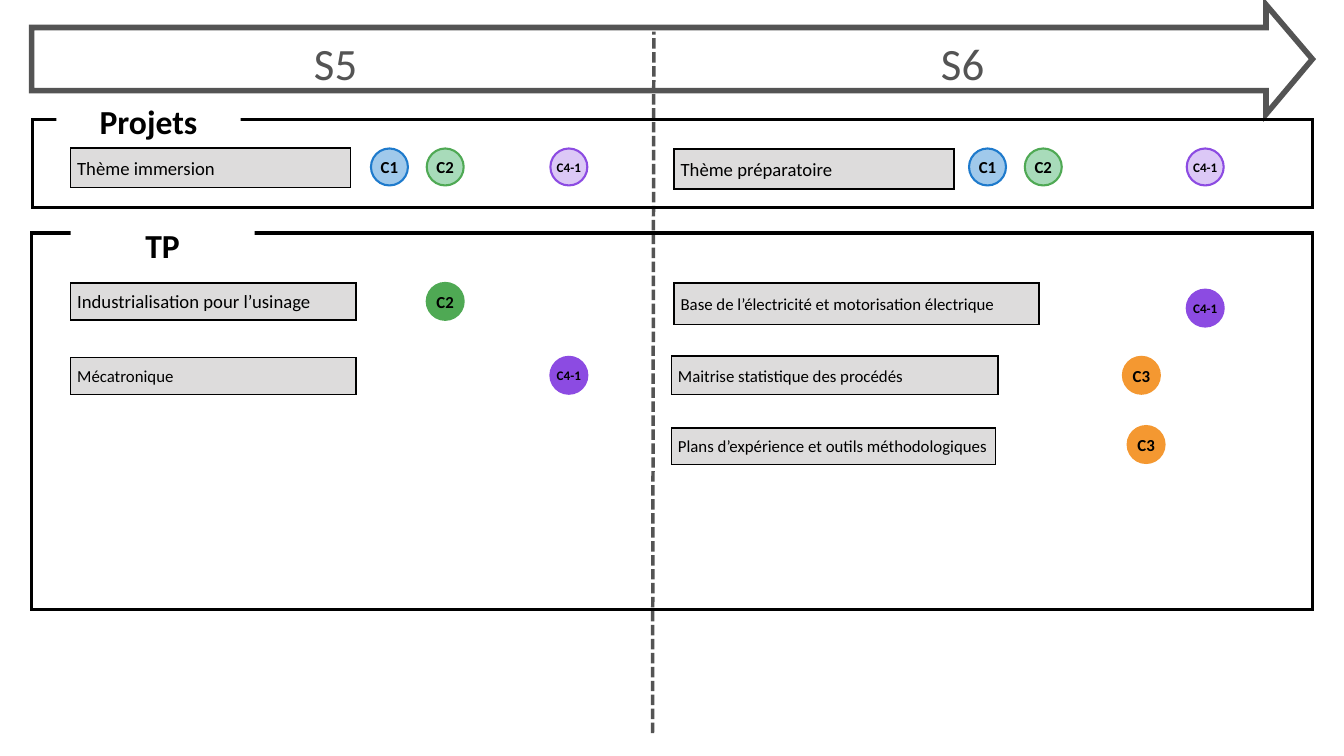
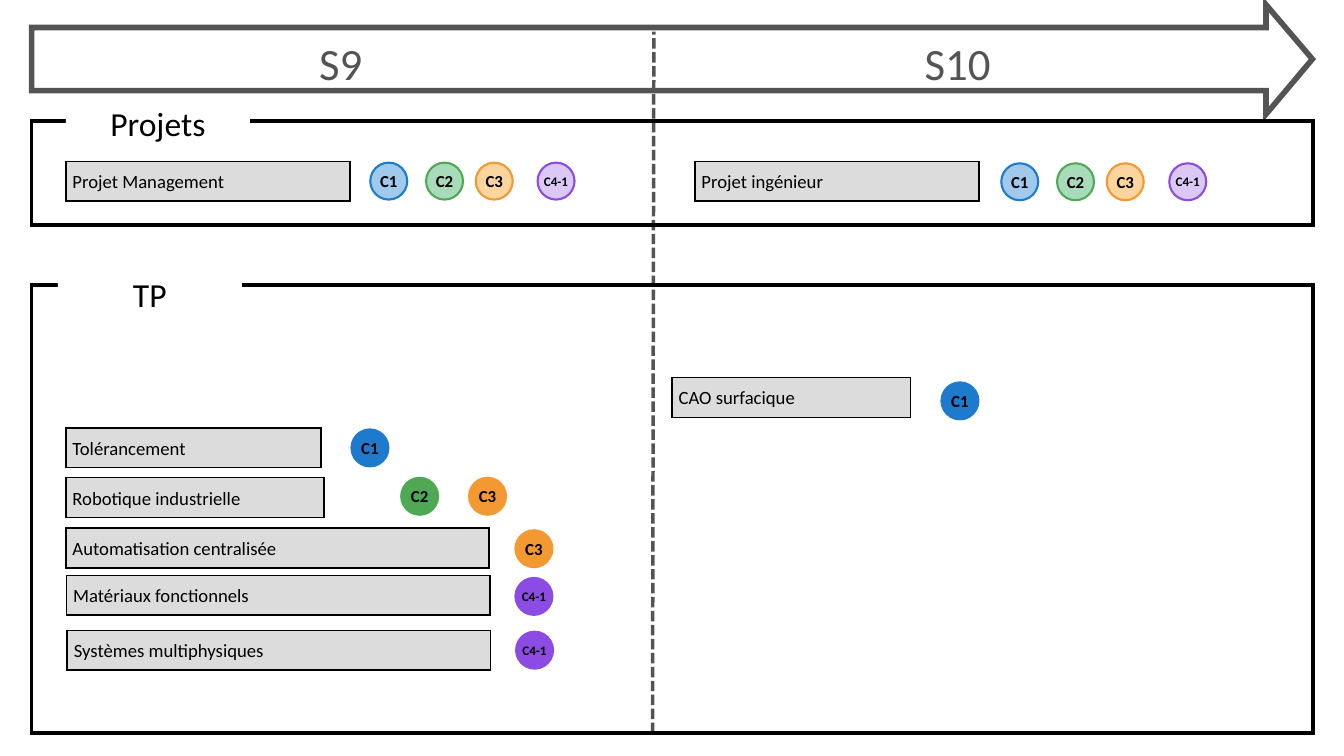
"""Build two semester timelines of projects and practical courses with their skills."""
from dataclasses import dataclass

from lxml import etree
from pptx import Presentation
from pptx.dml.color import RGBColor
from pptx.dml.line import LineFormat
from pptx.enum.dml import MSO_LINE
from pptx.enum.shapes import MSO_CONNECTOR, MSO_SHAPE
from pptx.enum.text import MSO_ANCHOR, MSO_AUTO_SIZE, PP_ALIGN
from pptx.oxml.ns import qn
from pptx.shapes.autoshape import Shape
from pptx.slide import Slide
from pptx.text.text import TextFrame
from pptx.util import Inches, Pt

RECTANGLE, OVAL = MSO_SHAPE.RECTANGLE, MSO_SHAPE.OVAL
STRAIGHT, DASHED = MSO_CONNECTOR.STRAIGHT, MSO_LINE.SQUARE_DOT
TOP, MIDDLE = MSO_ANCHOR.TOP, MSO_ANCHOR.MIDDLE
LEFT, CENTER = PP_ALIGN.LEFT, PP_ALIGN.CENTER
GROW = MSO_AUTO_SIZE.SHAPE_TO_FIT_TEXT

FONT = "Calibri"
BLACK, WHITE, SLATE, COURSE_GREY = "000000", "FFFFFF", "545454", "DDDCDC"
BADGE_SIZE = 0.55
TAB_SIZE = (2.74, 0.61)
ARROW_POINTS = ((19.53, 0.88), (18.84, 0.07), (18.84, 0.41), (0.47, 0.41),
                (0.47, 1.35), (18.84, 1.35), (18.84, 1.7))
SEMESTER_SPANS = ((0.5, 9.14), (9.81, 9.03))

Box = tuple[float, float, float, float]


@dataclass(frozen=True)
class Skill:
    """Colours and text size of a skill badge."""
    color: str
    tint: str
    tint_alpha: int = 100
    size: int = 18


@dataclass(frozen=True)
class Course:
    """A named bar followed by skill badges on one line."""
    name: str
    box: Box
    badge_top: float
    badges: dict[str, float]
    size: int = 20


@dataclass(frozen=True)
class Section:
    """A framed group of courses with a title tab on its upper edge."""
    title: str
    tab: tuple[float, float]
    frame: Box
    courses: tuple[Course, ...]
    anchor: MSO_ANCHOR = MIDDLE
    tinted: bool = False


@dataclass(frozen=True)
class Year:
    """Two semesters and their sections."""
    semesters: tuple[str, str]
    sections: tuple[Section, ...]
    bold_titles: bool = False


SKILLS = {
    "C1": Skill("1E7ACC", "A0C9EB"),
    "C2": Skill("4FA954", "A8DBBA"),
    "C3": Skill("F49831", "FBD49E"),
    "C4-1": Skill("8C4BE2", "8C4BE2", tint_alpha=30, size=14),
}

YEARS = (
    Year(("S5 ", "S6"), (
        Section("Projets", (0.84, 1.49), (0.48, 1.78, 19.05, 1.31), (
            Course("Thème immersion", (1.05, 2.2, 4.17, 0.59), 2.21,
                   {"C1": 5.52, "C2": 6.35, "C4-1": 8.19}),
            Course("Thème préparatoire", (10.03, 2.22, 4.17, 0.59), 2.21,
                   {"C1": 14.42, "C2": 15.25, "C4-1": 17.66}),
        ), tinted=True),
        Section("TP", (1.05, 3.3), (0.47, 3.47, 19.06, 5.6), (
            Course("Industrialisation pour l’usinage", (1.05, 4.21, 4.25, 0.55), 4.21,
                   {"C2": 6.35}),
            Course("Mécatronique", (1.05, 5.32, 4.25, 0.55), 5.31, {"C4-1": 8.19}, 18),
            Course("Base de l’électricité et motorisation électrique",
                   (10.03, 4.21, 5.43, 0.62), 4.31, {"C4-1": 17.66}, 18),
            Course("Maitrise statistique des procédés", (9.99, 5.3, 4.86, 0.57), 5.31,
                   {"C3": 16.71}, 18),
            Course("Plans d’expérience et outils méthodologiques",
                   (9.99, 6.37, 4.82, 0.54), 6.34, {"C3": 16.78}, 18),
        ), anchor=TOP),
    ), bold_titles=True),
    Year(("S9", "S10 "), (
        Section("Projets", (0.98, 1.52), (0.47, 1.8, 19.07, 1.55), (
            Course("Projet Management", (0.98, 2.4, 4.23, 0.59), 2.42,
                   {"C1": 5.51, "C2": 6.34, "C3": 7.08, "C4-1": 8}),
            Course("Projet ingénieur", (10.34, 2.4, 4.23, 0.59), 2.43,
                   {"C1": 14.9, "C2": 15.73, "C3": 16.47, "C4-1": 17.4}),
        ), tinted=True),
        Section("TP", (0.86, 4.03), (0.47, 4.24, 19.07, 6.67), (
            Course("Tolérancement", (0.98, 6.37, 3.8, 0.59), 6.39, {"C1": 5.23}),
            Course("Robotique industrielle", (0.98, 7.11, 3.84, 0.59), 7.11,
                   {"C2": 5.97, "C3": 6.98}),
            Course("Automatisation centralisée", (0.98, 7.86, 6.3, 0.59), 7.89,
                   {"C3": 7.67}),
            Course("Matériaux fonctionnels", (0.99, 8.56, 6.3, 0.59), 8.6,
                   {"C4-1": 7.67}),
            Course("Systèmes multiphysiques", (1, 9.38, 6.3, 0.59), 9.4,
                   {"C4-1": 7.68}),
            Course("CAO surfacique", (10, 5.62, 3.55, 0.59), 5.69, {"C1": 14.01}),
        ), anchor=TOP),
    )),
)


def rgb(color: str) -> RGBColor:
    """Turn a hex string into a colour."""
    return RGBColor.from_string(color)


def write(frame: TextFrame, text: str, *, size: float, color: str = BLACK,
          bold: bool = False, align: PP_ALIGN = CENTER, anchor: MSO_ANCHOR = MIDDLE,
          inset: bool = True, spacing: float | None = None) -> None:
    """Put one formatted paragraph in a text frame."""
    frame.word_wrap = True
    frame.vertical_anchor = anchor
    if not inset:
        frame.margin_left = frame.margin_right = 0
        frame.margin_top = frame.margin_bottom = 0
    paragraph = frame.paragraphs[0]
    paragraph.alignment = align
    if spacing:
        paragraph.line_spacing = Pt(spacing)
    run = paragraph.add_run()
    run.text = text
    run.font.name, run.font.size, run.font.bold = FONT, Pt(size), bold
    run.font.color.rgb = rgb(color)


def stroke(line: LineFormat, color: str, width: float) -> None:
    """Give a line its colour and width."""
    line.color.rgb = rgb(color)
    line.width = Pt(width)


def paint(shape: Shape, fill: str | None, line: str | None, width: float = 0,
          alpha: int = 100) -> None:
    """Set the fill and the sharp-cornered outline of a shape."""
    shape.shadow.inherit = False
    if fill:
        shape.fill.solid()
        shape.fill.fore_color.rgb = rgb(fill)
        if alpha < 100:
            tone = shape.fill._xPr.find(qn("a:solidFill"))[0]
            etree.SubElement(tone, qn("a:alpha"), val=str(alpha * 1000))
    else:
        shape.fill.background()
    if line:
        stroke(shape.line, line, width)
        etree.SubElement(shape.line._get_or_add_ln(), qn("a:miter"), lim="800000")
    else:
        shape.line.fill.background()


def add_block(slide: Slide, kind: MSO_SHAPE, box: Box, fill: str | None,
              line: str | None, width: float = 0, alpha: int = 100) -> Shape:
    """Add a painted preset shape."""
    block = slide.shapes.add_shape(kind, *map(Inches, box))
    paint(block, fill, line, width, alpha)
    return block


def draw_timeline(slide: Slide, semesters: tuple[str, str]) -> None:
    """Draw the arrow, the divider and the semester names."""
    start, *others = [(Inches(x), Inches(y)) for x, y in ARROW_POINTS]
    outline = slide.shapes.build_freeform(*start)
    outline.add_line_segments(others, close=True)
    paint(outline.convert_to_shape(), None, SLATE, 6)

    divider = slide.shapes.add_connector(STRAIGHT, *map(Inches, (9.71, 10.91, 9.73, 0.47)))
    stroke(divider.line, SLATE, 3.75)
    divider.line.dash_style = DASHED
    etree.SubElement(divider._element.spPr, qn("a:effectLst"))

    for name, (left, width) in zip(semesters, SEMESTER_SPANS):
        label = slide.shapes.add_textbox(*map(Inches, (left, 0.46, width, 0.83)))
        write(label.text_frame, name, size=48, color=SLATE, anchor=TOP,
              inset=False, spacing=62.4)
        label.text_frame.auto_size = GROW


def draw_course(slide: Slide, course: Course, tinted: bool) -> None:
    """Draw a course bar and its skill badges."""
    bar = add_block(slide, RECTANGLE, course.box, COURSE_GREY, BLACK, 1.5)
    write(bar.text_frame, course.name, size=course.size, align=LEFT)
    for code, left in course.badges.items():
        skill = SKILLS[code]
        badge = add_block(slide, OVAL, (left, course.badge_top, BADGE_SIZE, BADGE_SIZE),
                          skill.tint if tinted else skill.color, skill.color, 2.25,
                          skill.tint_alpha if tinted else 100)
        write(badge.text_frame, code, size=skill.size, bold=True, inset=False)


def draw_section(slide: Slide, section: Section, bold: bool) -> None:
    """Draw a section frame, its title tab and its courses."""
    add_block(slide, RECTANGLE, section.frame, None, BLACK, 3.75)
    tab = add_block(slide, RECTANGLE, (*section.tab, *TAB_SIZE), WHITE, None)
    write(tab.text_frame, section.title, size=36, bold=bold, anchor=section.anchor)
    for course in section.courses:
        draw_course(slide, course, section.tinted)


def main() -> None:
    """Build and save the presentation."""
    deck = Presentation()
    deck.slide_width, deck.slide_height = Inches(20), Inches(11.25)
    for year in YEARS:
        slide = deck.slides.add_slide(deck.slide_layouts[6])
        draw_timeline(slide, year.semesters)
        for section in year.sections:
            draw_section(slide, section, year.bold_titles)
    deck.save("out.pptx")


if __name__ == "__main__":
    main()
